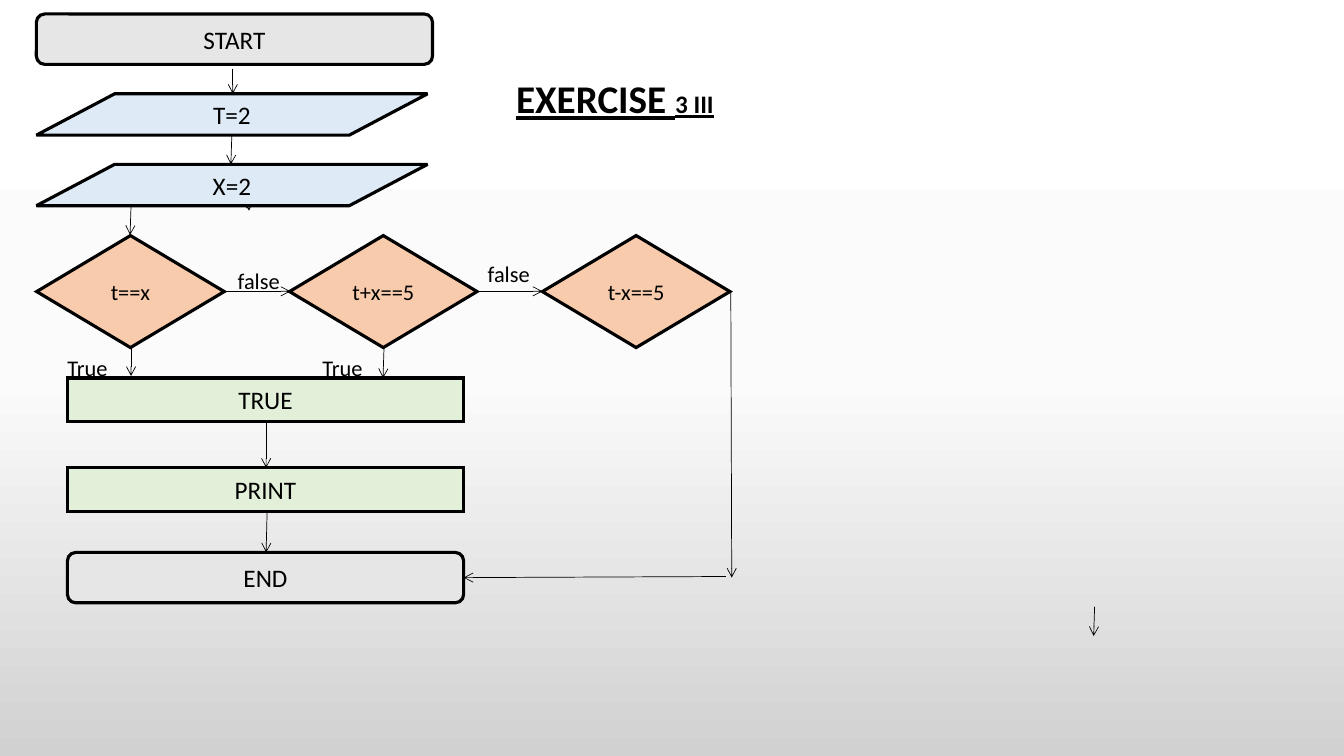
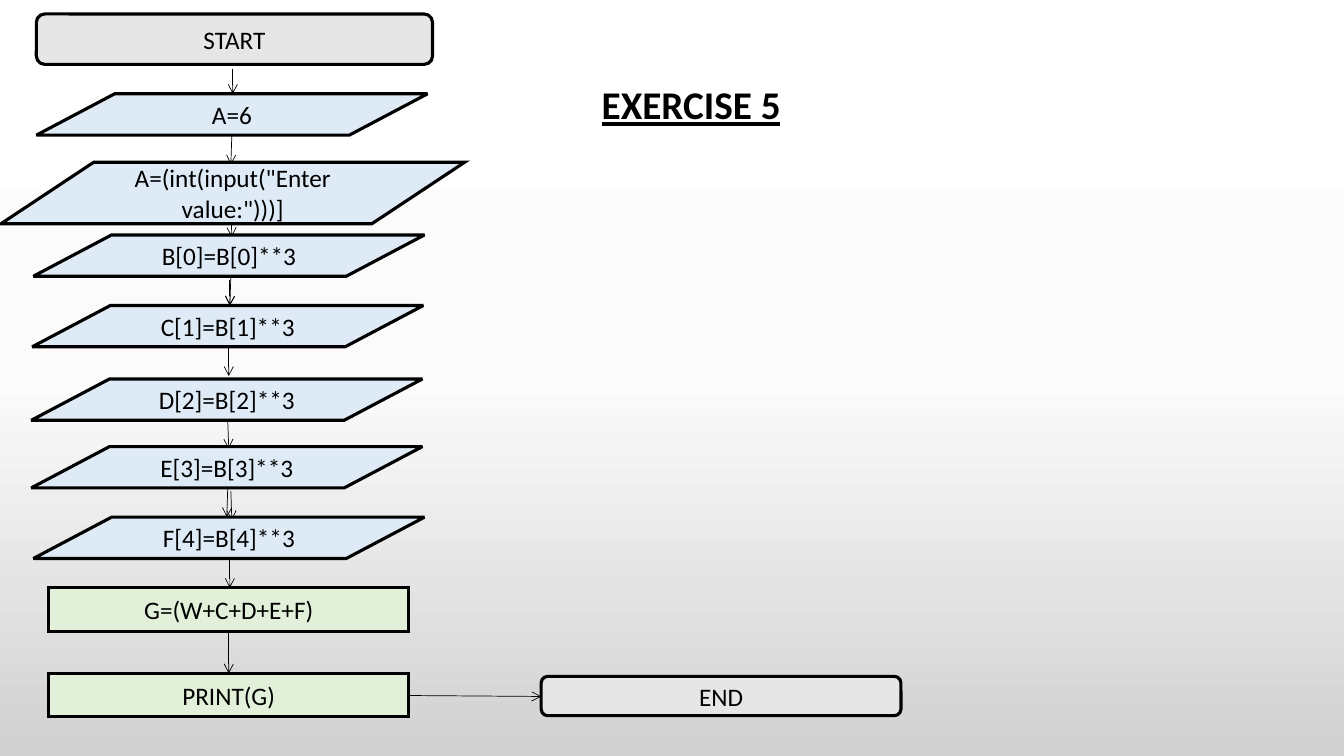
from copy import deepcopy

from lxml import etree
from pptx import Presentation
from pptx.dml.color import RGBColor
from pptx.enum import shapes, text
from pptx.oxml import ns
from pptx.util import Pt

COLORS = {
    "ink": "000000",
    "terminal": "E7E6E6",
    "data": "DEEBF7",
    "process": "E2F0D9",
    "decision": "F8CBAD",
    "top": "FFFFFF",
    "middle": "FBFBFB",
    "bottom": "D1D1D1",
}
FORMS = {
    "terminal": shapes.MSO_SHAPE.FLOWCHART_ALTERNATE_PROCESS,
    "data": shapes.MSO_SHAPE.FLOWCHART_DATA,
    "process": shapes.MSO_SHAPE.FLOWCHART_PROCESS,
    "decision": shapes.MSO_SHAPE.DIAMOND,
}
DATA_SIZE = (279.4, 29.5)
START = (26, 10, 283, 36)


def color(key):
    return RGBColor.from_string(COLORS[key])


def add_xml(parent, tag, **attributes):
    return etree.SubElement(parent, ns.qn(tag), attributes)


class Flowchart:
    font = "Calibri"

    def __init__(self):
        self.deck = Presentation()
        self.deck.slide_width, self.deck.slide_height = Pt(960), Pt(540)
        self.slide = None
        self.paint_background()

    def paint_background(self):
        master = self.deck.slide_master
        fill = master.background.fill
        fill.gradient()
        fill.gradient_angle = 270
        stops = master.element.find(".//" + ns.qn("a:gsLst"))
        stops.insert(1, deepcopy(stops[0]))
        for stop, key, position in zip(fill.gradient_stops, ("top", "middle", "bottom"), (0, 0.5, 1)):
            stop.color.rgb = color(key)
            stop.position = position

    def new_slide(self):
        self.slide = self.deck.slides.add_slide(self.deck.slide_layouts[5])

    def style(self, paragraph, size, align):
        paragraph.alignment = align
        paragraph.font.name = self.font
        paragraph.font.size = Pt(size)
        paragraph.font.color.rgb = color("ink")

    def outline(self, line, width):
        line.color.rgb = color("ink")
        line.width = Pt(width)
        return line._get_or_add_ln()

    def title(self, words, left, top, width, suffix=""):
        heading = self.slide.shapes.title
        heading.left, heading.top, heading.width, heading.height = map(Pt, (left, top, width, 41))
        frame = heading.text_frame
        frame.vertical_anchor = text.MSO_ANCHOR.TOP
        frame.auto_size = text.MSO_AUTO_SIZE.SHAPE_TO_FIT_TEXT
        paragraph = frame.paragraphs[0]
        self.style(paragraph, 28, text.PP_ALIGN.LEFT)
        paragraph.font.bold = paragraph.font.underline = True
        paragraph.add_run().text = words
        if suffix:
            ending = paragraph.add_run()
            ending.text = suffix
            ending.font.size = Pt(18)

    def step(self, kind, words, left, top, width, height, size=18):
        step = self.slide.shapes.add_shape(FORMS[kind], *map(Pt, (left, top, width, height)))
        step.shadow.inherit = False
        step.fill.solid()
        step.fill.fore_color.rgb = color(kind)
        add_xml(self.outline(step.line, 2.25), "a:miter", lim="800000")
        frame = step.text_frame
        frame.word_wrap = True
        frame.vertical_anchor = text.MSO_ANCHOR.MIDDLE
        frame.text = words
        self.style(frame.paragraphs[0], size, text.PP_ALIGN.CENTER)

    def label(self, words, left, top, width):
        label = self.slide.shapes.add_textbox(*map(Pt, (left, top, width, 26.6)))
        frame = label.text_frame
        frame.word_wrap = True
        frame.auto_size = text.MSO_AUTO_SIZE.SHAPE_TO_FIT_TEXT
        frame.text = words
        self.style(frame.paragraphs[0], 16, text.PP_ALIGN.LEFT)

    def arrows(self, routes):
        for route in routes:
            arrow = self.slide.shapes.add_connector(shapes.MSO_CONNECTOR.STRAIGHT, *map(Pt, route))
            add_xml(self.outline(arrow.line, 0.5), "a:tailEnd", type="arrow")
            add_xml(arrow._element.spPr, "a:effectLst")


chart = Flowchart()
entry_arrows = [(166.3, 49, 166.3, 67), (165.6, 96.5, 164.9, 117.4)]

chart.new_slide()
chart.title("EXERCISE ", 361.4, 49.7, 509.8, "3 III")
chart.arrows(entry_arrows + [
    (175.7, 128.9, 176.4, 149),
    (177.8, 130.3, 177.8, 150.5),
    (93.6, 146.9, 92.9, 167.8),
    (159.8, 208.1, 207.4, 208.1),
    (331.2, 208.1, 387.4, 208.1),
    (93.6, 247.7, 93.6, 268.6),
    (274.3, 249.1, 273.6, 270),
    (190.1, 301, 190.1, 334.1),
    (190.8, 365, 190.1, 394.6),
    (522, 208.1, 522.7, 412.6),
    (518.4, 411.8, 331.2, 412.6),
    (781.9, 433.4, 781.2, 454.3),
])
chart.step("terminal", "START", *START)
for words, top in (("T=2", 67), ("X=2", 117.4)):
    chart.step("data", words, 26, top, *DATA_SIZE)
for column, condition in enumerate(("t==x", "t+x==5", "t-x==5")):
    chart.step("decision", condition, 26.2 + 180.6 * column, 168.3, 134, 80, 16)
for words, top in (("TRUE", 270), ("PRINT", 334.1)):
    chart.step("process", words, 48.2, top, 283, 31)
chart.step("terminal", "END", 48.2, 394.6, 283, 36)
for words, left, top, width in (
    ("false", 162.7, 187.2, 44.6),
    ("false", 341.3, 182.2, 59.8),
    ("True", 41, 249.1, 44.6),
    ("True", 223.2, 249.1, 44),
):
    chart.label(words, left, top, width)

chart.new_slide()
chart.title("EXERCISE 5", 422.6, 54, 536.4)
chart.arrows(entry_arrows + [
    (164.9, 149, 165.6, 169.2),
    (164.9, 197.3, 164.2, 218.2),
    (164.2, 200.2, 164.2, 218.2),
    (163.4, 247.7, 163.4, 268.6),
    (162.7, 300.2, 163.4, 320.4),
    (162.7, 348.5, 162, 369.4),
    (164.9, 350.6, 165.6, 371.5),
    (164.2, 398.9, 164.2, 419.8),
    (163.4, 450.7, 163.4, 481),
    (292.3, 496.8, 386.6, 497.5),
])
chart.step("terminal", "START", *START)
chart.step("data", 'A=(int(input("Enter value:")))]', 0.7, 115.9, 331.2, 43.9)
for words, left, top in (
    ("A=6", 26, 67),
    ("B[0]=B[0]**3", 23.8, 167.8),
    ("C[1]=B[1]**3", 23, 218.2),
    ("D[2]=B[2]**3", 22.3, 270.7),
    ("E[3]=B[3]**3", 22.3, 319),
    ("F[4]=B[4]**3", 23.8, 369.4),
):
    chart.step("data", words, left, top, *DATA_SIZE)
for words, top in (("G=(W+C+D+E+F)", 419.8), ("PRINT(G)", 481)):
    chart.step("process", words, 34.9, top, 257, 31)
chart.step("terminal", "END", 386.6, 483.1, 257, 28.1)

chart.deck.save("out.pptx")
